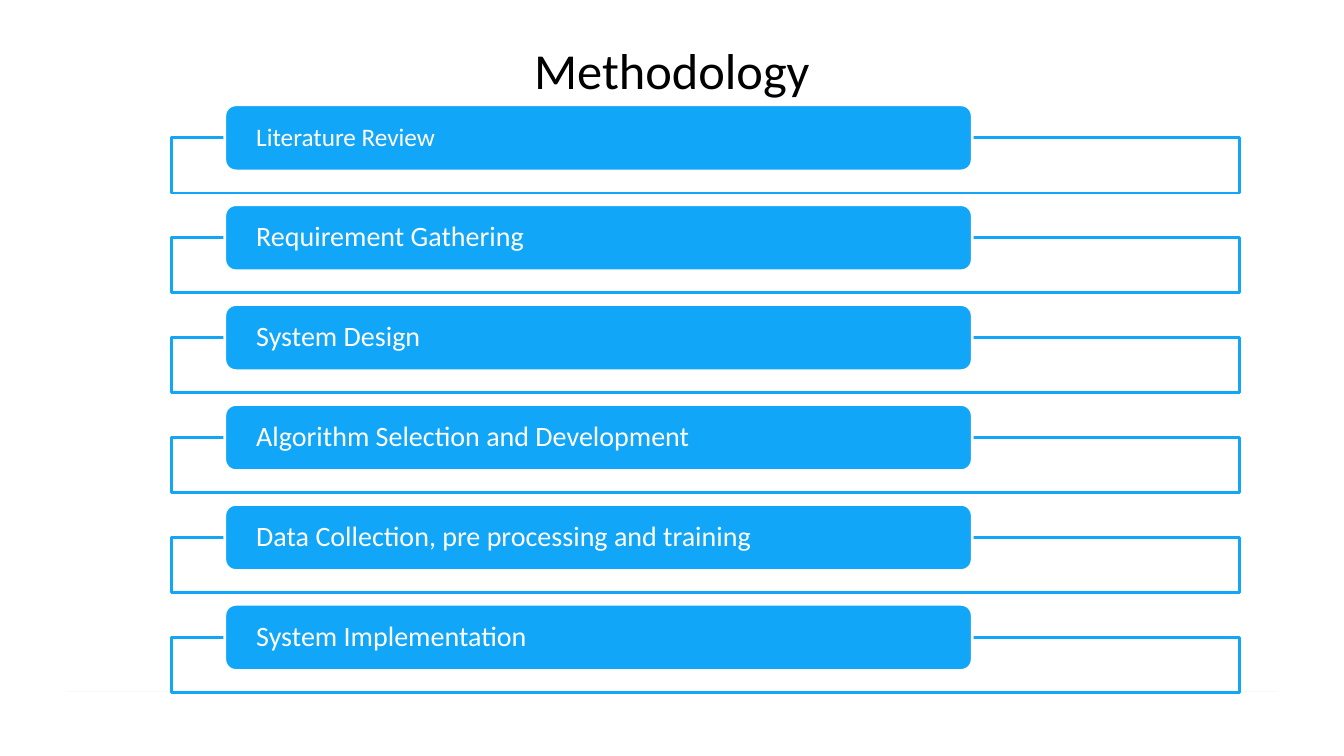
from dataclasses import dataclass
from lxml.etree import SubElement as Sub
from pptx import Presentation as Deck
from pptx.dml.color import RGBColor as Rgb
from pptx.enum.shapes import MSO_CONNECTOR as Link, MSO_SHAPE as Kind
from pptx.enum.text import MSO_ANCHOR as Anchor, PP_ALIGN as Align
from pptx.oxml.ns import qn
from pptx.util import Inches, Pt


@dataclass(frozen=True)
class Theme:
    font: str = "Calibri"
    blue: str = "12A6F8"
    white: str = "FFFFFF"
    black: str = "000000"
    gray: str = "D9D9D9"
    head: float = 36
    body: float = 20
    small: float = 18
    edge: float = 2
    hair: float = 0.75


look = Theme()
WIDE, HIGH = 13.33, 7.5
STEPS = [
    ("Literature Review", look.small),
    ("Requirement Gathering", look.body),
    ("System Design", look.body),
    ("Algorithm Selection and Development", look.body),
    ("Data Collection, pre processing and training", look.body),
    ("System Implementation", look.body),
]


def units(*sizes):
    return [Inches(size) for size in sizes]


def fade(fill, share):
    color = fill._xPr.find(qn("a:solidFill"))[0]
    Sub(color, qn("a:alpha"), val=str(share * 1000))


def write(shape, text, size, color, align=Align.LEFT, pad=(0.13, 0.07), space=1.0):
    frame = shape.text_frame
    frame.word_wrap = True
    frame.vertical_anchor = Anchor.MIDDLE
    frame.margin_left = frame.margin_right = Inches(pad[0])
    frame.margin_top = frame.margin_bottom = Inches(pad[1])
    par = frame.paragraphs[0]
    par.alignment = align
    par.line_spacing = space
    run = par.add_run()
    run.text = text
    run.font.name = look.font
    run.font.size = Pt(size)
    run.font.color.rgb = Rgb.from_string(color)


def block(home, kind, box, fill, line):
    shape = home.add_shape(kind, *units(*box))
    shape.shadow.inherit = False
    shape.fill.solid()
    shape.fill.fore_color.rgb = Rgb.from_string(fill)
    shape.line.color.rgb = Rgb.from_string(line)
    shape.line.width = Pt(look.edge)
    return shape


def rule(slide, left, right, top):
    line = slide.shapes.add_connector(Link.STRAIGHT, *units(left, top, right, top))
    line.line.color.rgb = Rgb.from_string(look.gray)
    line.line.width = Pt(look.hair)
    fade(line.line.fill, 15)
    Sub(line._element.spPr, qn("a:effectLst"))


def title(slide, box, text):
    head = slide.shapes.title
    head.left, head.top, head.width, head.height = units(*box)
    write(head, text, look.head, look.black, align=Align.CENTER)


def step(home, box, text, size):
    left, top, wide, high = box
    tall = high * 0.75
    drop = tall / 2
    frame = block(home, Kind.RECTANGLE, (left, top + drop, wide, high - drop),
                  look.white, look.blue)
    fade(frame.fill, 90)
    tab = block(home, Kind.ROUNDED_RECTANGLE,
                (left + wide * 0.05, top, wide * 0.7, tall),
                look.blue, look.white)
    write(tab, text, size, look.white, pad=(0.28, 0), space=0.9)


def ladder(slide, box, steps):
    left, top, wide, high = box
    tall = high * 0.15
    pitch = (high - tall) / (len(steps) - 1)
    home = slide.shapes.add_group_shape().shapes
    for row, (text, size) in enumerate(steps):
        step(home, (left, top + row * pitch, wide, tall), text, size)


def main():
    deck = Deck()
    deck.slide_width, deck.slide_height = units(WIDE, HIGH)
    slide = deck.slides.add_slide(deck.slide_layouts[5])
    rule(slide, WIDE * 0.05, WIDE * 0.95, 6.86)
    title(slide, (WIDE * 0.05, HIGH * 0.04, WIDE * 0.9, 0.78), "Methodology")
    ladder(slide, (1.7, 1.04, 10.59, 5.83), STEPS)
    deck.save("out.pptx")


if __name__ == "__main__":
    main()
